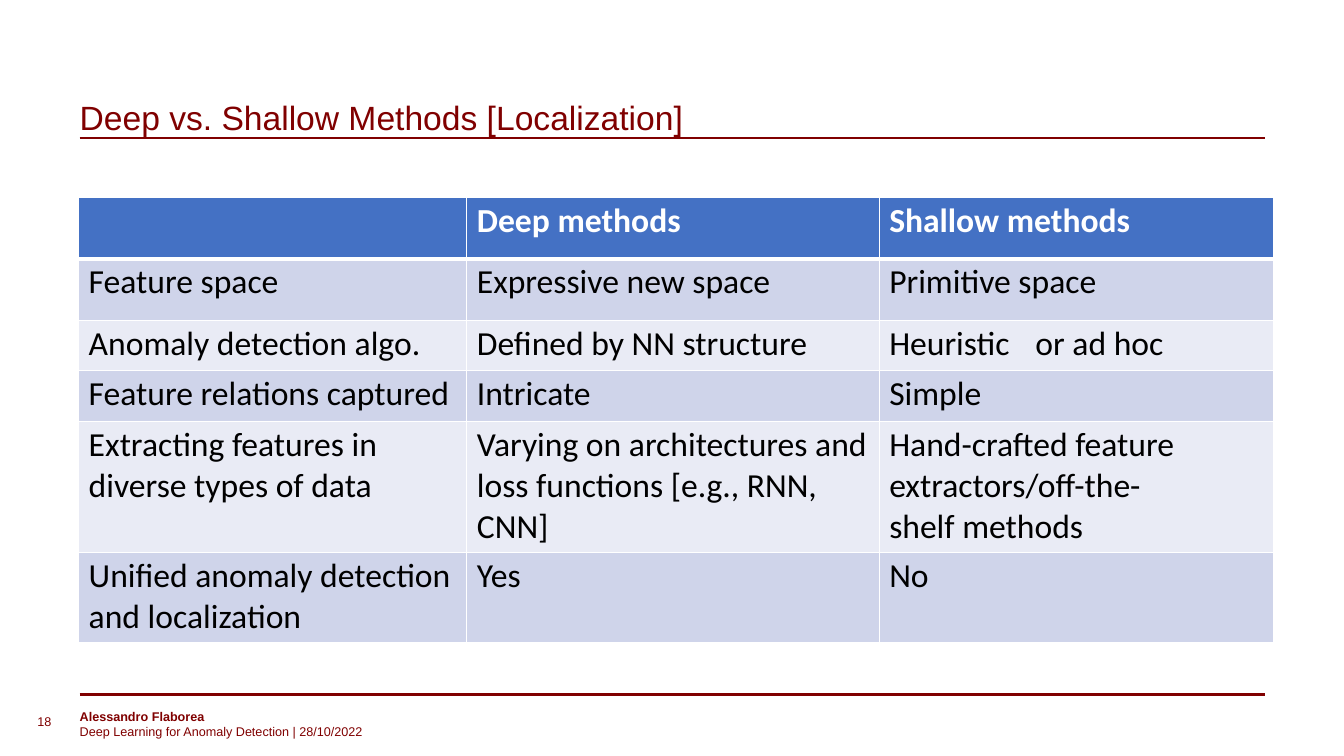
from dataclasses import dataclass

from lxml.etree import SubElement as Sub
from pptx import Presentation
from pptx.dml.color import RGBColor as Rgb
from pptx.enum.shapes import MSO_CONNECTOR as Conn
from pptx.enum.text import MSO_ANCHOR as Anchor, PP_ALIGN as Align
from pptx.oxml import parse_xml
from pptx.oxml.ns import nsdecls, qn
from pptx.util import Inches, Pt


@dataclass(frozen=True)
class Theme:
    maroon: str = "800000"
    head: str = "4471C4"
    odd: str = "CFD4EA"
    even: str = "E9EBF5"
    white: str = "FFFFFF"
    black: str = "000000"
    sans: str = "Arial"
    body: str = "Calibri"
    large: int = 24
    small: int = 9


THEME = Theme()
LEFT, RIGHT = 79, 1255
COLS = [385, 409, 391]
ROWS = [61, 61, 50, 50, 130, 90]
TAB = 145
CELLS = [
    ["", "Deep methods", "Shallow methods"],
    ["Feature space", "Expressive new space", "Primitive space"],
    ["Anomaly detection algo.", "Defined by NN structure",
     "Heuristic\tor ad hoc"],
    ["Feature relations captured", "Intricate", "Simple"],
    ["Extracting features in\ndiverse types of data",
     "Varying on architectures and loss functions [e.g., RNN, CNN]",
     "Hand-crafted feature extractors/off-the-\vshelf methods"],
    ["Unified anomaly detection and localization", "Yes", "No"],
]


def px(count):
    """Turn pixels, a hundred to the inch, into EMU."""
    return Inches(count / 100)


def style(par, face, size, color, bold=False):
    par.alignment = Align.LEFT
    for run in par.runs:
        font = run.font
        font.name, font.size, font.bold = face, Pt(size), bold
        font.color.rgb = Rgb.from_string(color)


def inset(frame, left=0, top=0):
    frame.word_wrap = True
    frame.vertical_anchor = Anchor.TOP
    frame.margin_left, frame.margin_top = px(left), px(top)
    frame.margin_right = frame.margin_bottom = 0


def add_title(slide, text):
    title = slide.shapes.title
    title.left, title.top = px(78), px(92)
    title.width, title.height = px(1167), px(42)
    frame = title.text_frame
    frame.text = text
    inset(frame, left=1, top=4)
    style(frame.paragraphs[0], THEME.sans, THEME.large, THEME.maroon)


def add_rule(slide, y, weight):
    rule = slide.shapes.add_connector(
        Conn.STRAIGHT, px(LEFT), px(y), px(RIGHT), px(y))
    rule.line.color.rgb = Rgb.from_string(THEME.maroon)
    rule.line.width = Pt(weight)
    Sub(rule._element.spPr, qn("a:effectLst"))


def add_note(slide, text, box, left=0, top=0, bold=False):
    """Add small text whose first line may be bold."""
    frame = slide.shapes.add_textbox(*map(px, box)).text_frame
    frame.text = text
    inset(frame, left, top)
    for row, par in enumerate(frame.paragraphs):
        style(par, THEME.sans, THEME.small, THEME.maroon, bold and row == 0)


def add_edges(cell, top, base):
    """Draw white cell borders, with top and base widths in points."""
    props = cell._tc.get_or_add_tcPr()
    widths = {"lnL": 1, "lnR": 1, "lnT": top, "lnB": base}
    for spot, (tag, width) in enumerate(widths.items()):
        props.insert(spot, parse_xml(
            f'<a:{tag} {nsdecls("a")} w="{Pt(width)}"><a:solidFill>'
            f'<a:srgbClr val="{THEME.white}"/></a:solidFill></a:{tag}>'))


def add_tab(par):
    stops = Sub(par._p.get_or_add_pPr(), qn("a:tabLst"))
    Sub(stops, qn("a:tab"), pos=str(px(TAB)), algn="l")


def fill_cell(cell, text, row):
    head = row == 0
    shade = THEME.head if head else (THEME.even, THEME.odd)[row % 2]
    cell.fill.solid()
    cell.fill.fore_color.rgb = Rgb.from_string(shade)
    add_edges(cell, 3 if row == 1 else 1, 3 if head else 1)
    cell.margin_left, cell.margin_top = px(10), px(3)
    cell.margin_right = cell.margin_bottom = 0
    cell.text_frame.text = text
    for par in cell.text_frame.paragraphs:
        if "\t" in par.text:
            add_tab(par)
        style(par, THEME.body, THEME.large,
              THEME.white if head else THEME.black, head)


def add_grid(slide):
    box = (78, 196, sum(COLS), sum(ROWS))
    grid = slide.shapes.add_table(len(ROWS), len(COLS), *map(px, box)).table
    for col, width in zip(grid.columns, COLS):
        col.width = px(width)
    for row, height in enumerate(ROWS):
        grid.rows[row].height = px(height)
        for col, text in enumerate(CELLS[row]):
            fill_cell(grid.cell(row, col), text, row)


def main():
    deck = Presentation()
    deck.slide_width, deck.slide_height = px(1333), px(750)
    slide = deck.slides.add_slide(deck.slide_layouts[5])
    add_rule(slide, 689, 2.5)
    add_note(slide, "Alessandro Flaborea\n"
             "Deep Learning for Anomaly Detection | 28/10/2022",
             (LEFT, 703, 501, 53), bold=True)
    add_rule(slide, 137, 1.5)
    add_title(slide, "Deep vs. Shallow Methods [Localization]")
    add_note(slide, "18", (33, 698, 25, 26), left=4, top=10)
    add_grid(slide)
    deck.save("out.pptx")


if __name__ == "__main__":
    main()
